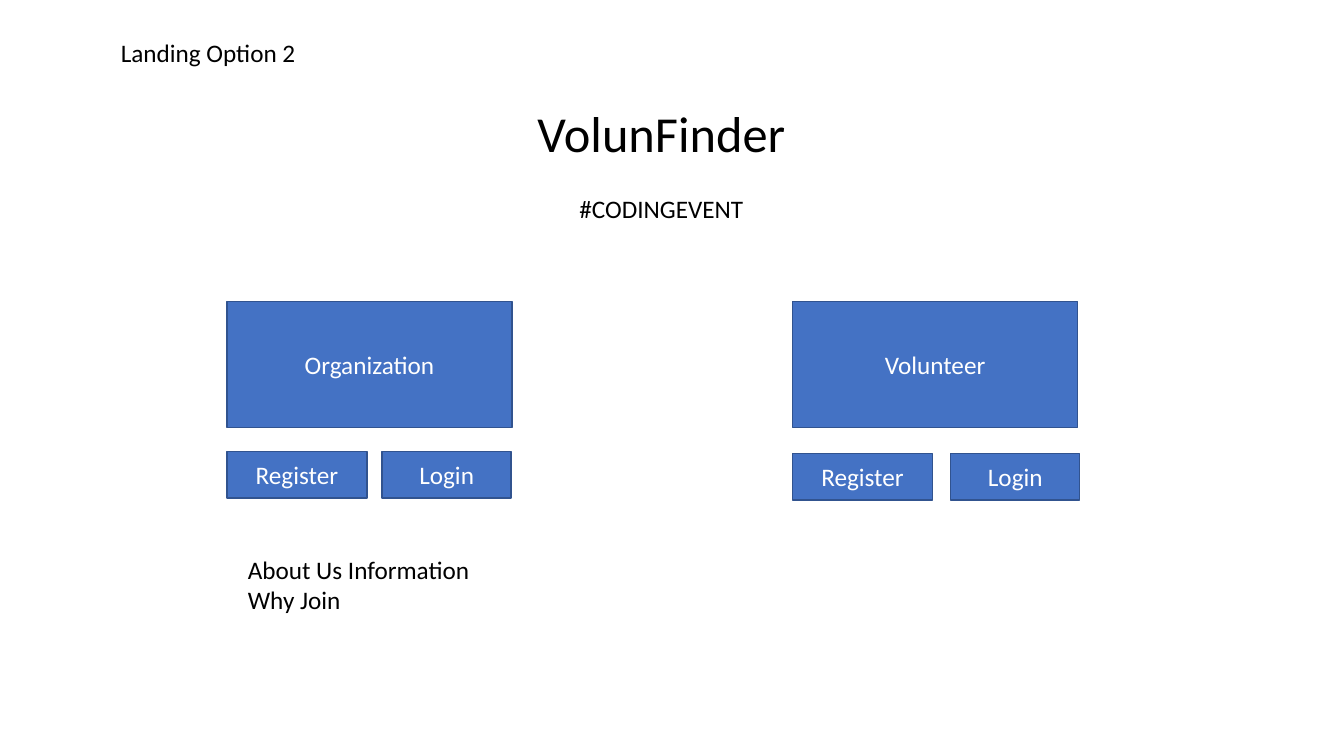
from dataclasses import dataclass

from pptx import Presentation
from pptx.dml.color import RGBColor
from pptx.enum import shapes, text
from pptx.util import Inches, Pt


@dataclass(frozen=True)
class Theme:
    """Colours, font and type sizes of the slide."""
    font: str = "Calibri"
    body: int = 18
    title: int = 36
    ink: str = "000000"
    light: str = "FFFFFF"
    fill: str = "4472C4"
    edge: str = "31538F"


THEME = Theme()


def style(para, size, color, align):
    """Set the font and alignment of a paragraph."""
    para.alignment = align
    para.font.name = THEME.font
    para.font.size = Pt(size)
    para.font.color.rgb = RGBColor.from_string(color)


def label(slide, box, lines, align=text.PP_ALIGN.LEFT, gap=0):
    """Add a text box of (wording, size) lines with a gap between them."""
    frame = slide.shapes.add_textbox(*map(Inches, box)).text_frame
    frame.word_wrap = True
    for i, (words, size) in enumerate(lines):
        para = frame.add_paragraph() if i else frame.paragraphs[0]
        para.text = words
        para.space_before = Pt(gap if i else 0)
        style(para, size, THEME.ink, align)


def button(slide, box, words):
    """Add a filled rectangle with a centred caption."""
    shape = slide.shapes.add_shape(shapes.MSO_SHAPE.RECTANGLE, *map(Inches, box))
    shape.shadow.inherit = False
    shape.fill.solid()
    shape.fill.fore_color.rgb = RGBColor.from_string(THEME.fill)
    shape.line.color.rgb = RGBColor.from_string(THEME.edge)
    shape.line.width = Pt(1)
    frame = shape.text_frame
    frame.word_wrap = True
    frame.vertical_anchor = text.MSO_ANCHOR.MIDDLE
    frame.text = words
    style(frame.paragraphs[0], THEME.body, THEME.light, text.PP_ALIGN.CENTER)


def panel(slide, box, role, drop, gap):
    """Add a role card with its register and login buttons below."""
    left, top, width, height = box
    button(slide, box, role)
    row = top + height + drop
    first, second, tall = 1.39, 1.28, 0.46
    button(slide, (left, row, first, tall), "Register")
    button(slide, (left + first + gap, row, second, tall), "Login")


def landing(slide):
    """Lay out the landing page."""
    body = THEME.body
    label(slide, (1.1, 0.32, 2.09, 0.4), [("Landing Option 2", body)])
    label(slide, (2.25, 0.96, 8.62, 1.31),
          [("VolunFinder", THEME.title), ("#CODINGEVENT", body)],
          text.PP_ALIGN.CENTER, gap=22)
    panel(slide, (2.25, 2.99, 2.83, 1.25), "Organization", 0.24, 0.15)
    panel(slide, (7.86, 2.99, 2.83, 1.25), "Volunteer", 0.26, 0.18)
    label(slide, (2.36, 5.45, 8.62, 0.71),
          [("About Us Information", body), ("Why Join", body)])


def main():
    """Build and save the deck."""
    deck = Presentation()
    deck.slide_width, deck.slide_height = Inches(13.33), Inches(7.5)
    landing(deck.slides.add_slide(deck.slide_layouts[6]))
    deck.save("out.pptx")


if __name__ == "__main__":
    main()
